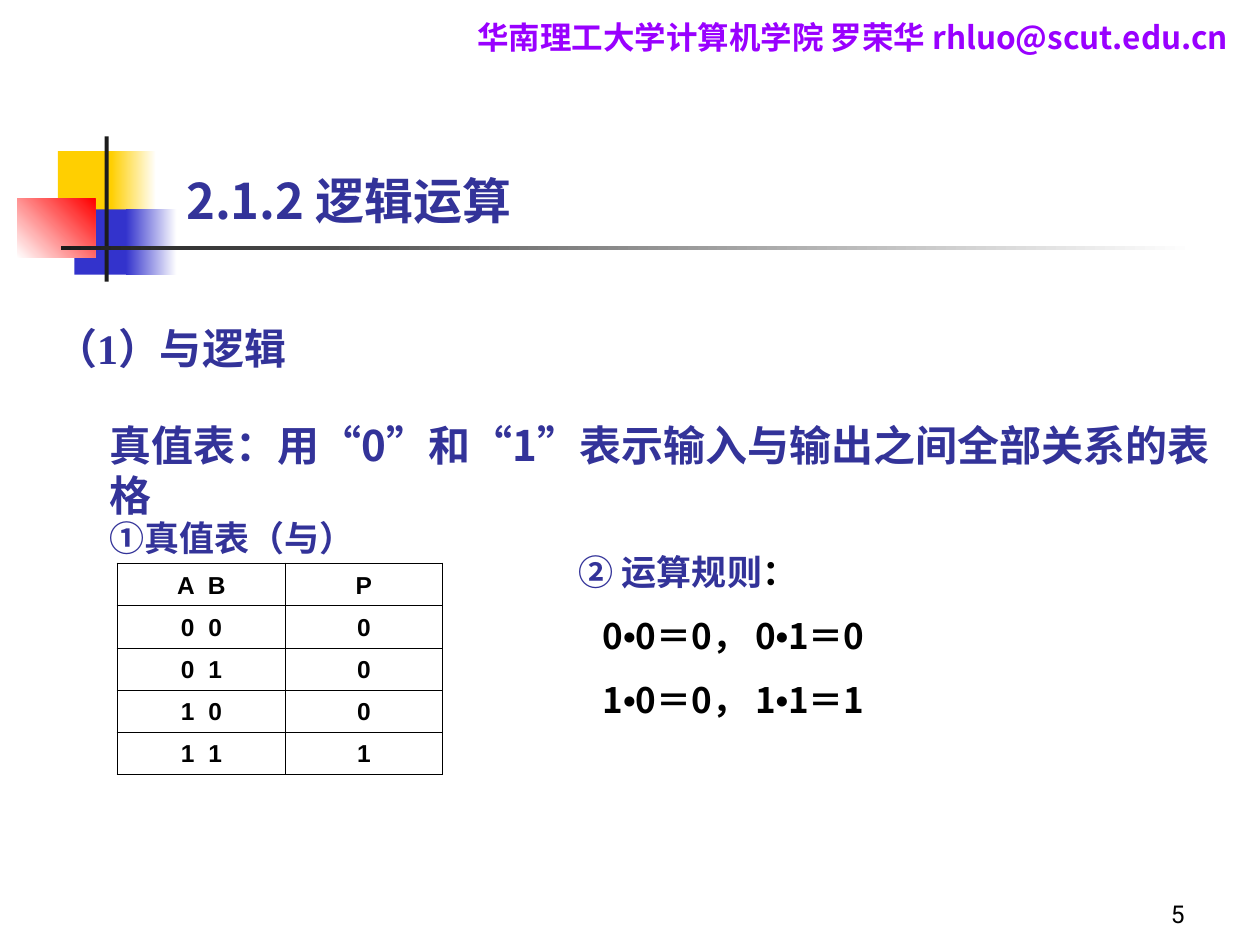
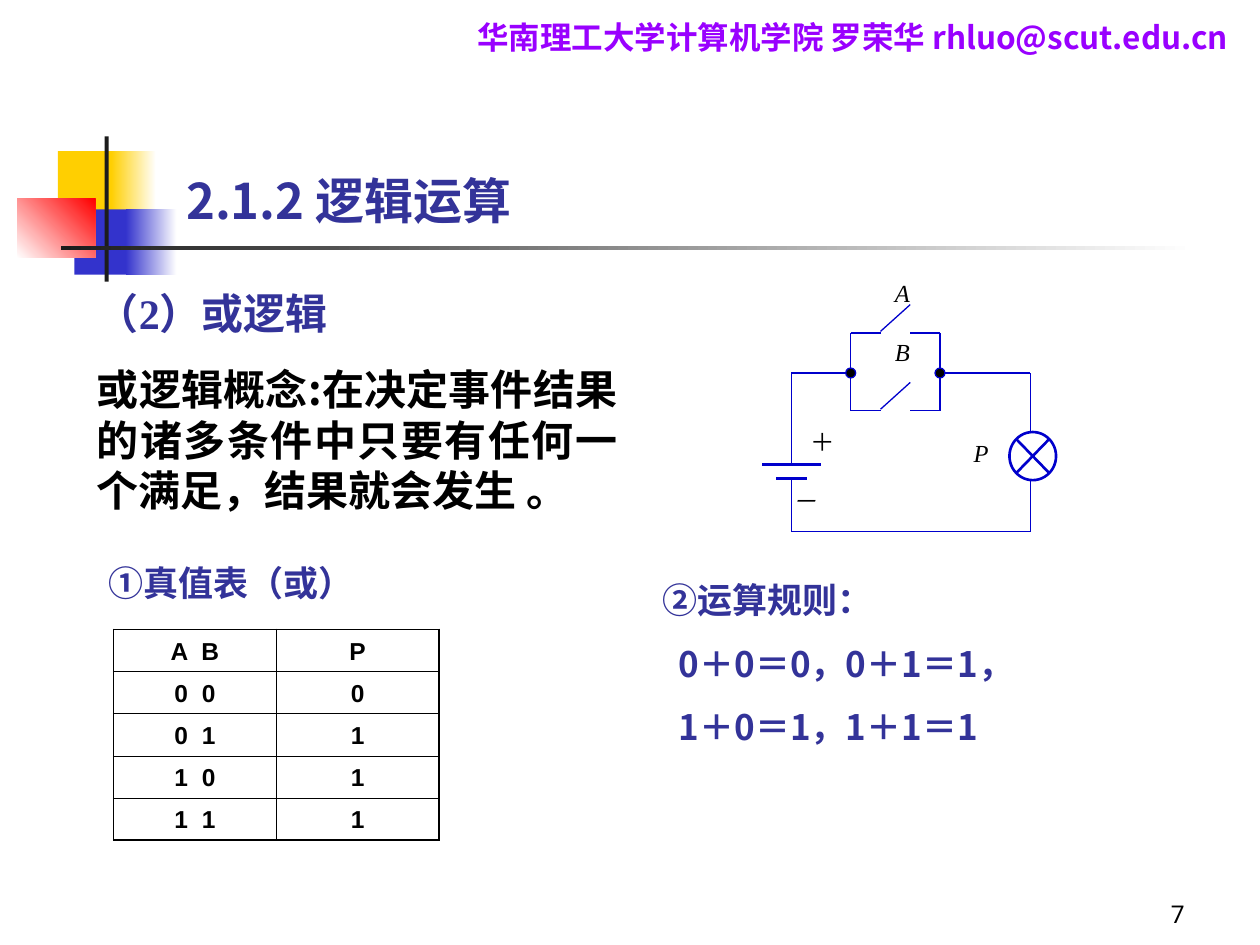
import dataclasses

import lxml.etree
import pptx
import pptx.dml.color
import pptx.enum.shapes
import pptx.enum.text
import pptx.oxml.ns
import pptx.util

Cm = pptx.util.Cm
Pt = pptx.util.Pt
ALIGN = pptx.enum.text.PP_ALIGN
ANCHOR = pptx.enum.text.MSO_ANCHOR
SHAPE = pptx.enum.shapes.MSO_SHAPE


@dataclasses.dataclass(frozen=True)
class Theme:
    ink: str = "000000"
    paper: str = "FFFFFF"
    heading: str = "333399"
    header: str = "9900FF"
    yellow: str = "FFCF01"
    blue: str = "3333CC"
    red: str = "FF0000"
    rule: str = "1C1C1C"
    wire: str = "0000CC"
    chinese: str = "Noto Sans CJK SC"
    serif: str = "Times New Roman"
    sans: str = "Arial"
    number: str = "Roboto"
    title_size: int = 28
    body_size: int = 24
    item_size: int = 20
    header_size: int = 18
    small_size: int = 14
    leading: float = 1.2
    thin: float = 0.75
    thick: float = 1.5
    grid: float = 0.45
    frame: float = 1.08


@dataclasses.dataclass(frozen=True)
class Span:
    text: str
    font: str = ""
    colour: str = ""


THEME = Theme()


def rgb(colour):
    return pptx.dml.color.RGBColor.from_string(colour)


def add_tag(parent, tag, **attributes):
    return lxml.etree.SubElement(parent, pptx.oxml.ns.qn(tag), attributes)


def write_lines(frame, lines, size, colour=THEME.heading, font=THEME.chinese, bold=True,
                italic=False, align=ALIGN.LEFT, gap=0, indent=0, spread=0):
    frame.word_wrap = True
    for index, line in enumerate(lines):
        para = frame.add_paragraph() if index else frame.paragraphs[0]
        properties = para._p.get_or_add_pPr()
        properties.set("marL", "0")
        properties.set("indent", str(Cm(indent if index else 0)))
        add_tag(properties, "a:buNone")
        para.alignment = align
        para.line_spacing = Pt(size * THEME.leading)
        para.space_before = Pt(gap if index else 0)
        para.font.size = Pt(size)
        para.font.bold = bold
        para.font.italic = italic
        para.font.color.rgb = rgb(colour)
        para.font.name = font
        defaults = properties.find(pptx.oxml.ns.qn("a:defRPr"))
        add_tag(defaults, "a:ea", typeface=THEME.chinese)
        if spread:
            defaults.set("spc", str(spread))
        for span in [Span(line)] if isinstance(line, str) else line:
            run = para.add_run()
            run.text = span.text
            if span.font:
                run.font.name = span.font
            if span.colour:
                run.font.color.rgb = rgb(span.colour)


def add_text(page, place, lines, size, anchor=ANCHOR.TOP, **style):
    box = page.shapes.add_textbox(*map(Cm, place))
    box.text_frame.vertical_anchor = anchor
    write_lines(box.text_frame, lines, size, **style)
    return box


def fill_placeholder(holder, place, lines, size, **style):
    holder.left, holder.top, holder.width, holder.height = map(Cm, place)
    holder.text_frame.auto_size = pptx.enum.text.MSO_AUTO_SIZE.NONE
    holder.text_frame.vertical_anchor = ANCHOR.TOP
    write_lines(holder.text_frame, lines, size, **style)


def add_figure(page, kind, place, fill, line=None, weight=THEME.thin):
    figure = page.shapes.add_shape(kind, *map(Cm, place))
    figure.shadow.inherit = False
    figure.fill.solid()
    figure.fill.fore_color.rgb = rgb(fill)
    if line:
        figure.line.color.rgb = rgb(line)
        figure.line.width = Pt(weight)
    else:
        figure.line.fill.background()
    return figure


def add_fade(page, place, start, end, angle=0):
    figure = add_figure(page, SHAPE.RECTANGLE, place, start)
    figure.fill.gradient()
    figure.fill.gradient_angle = angle
    for stop, colour, position in zip(figure.fill.gradient_stops, (start, end), (0, 1)):
        stop.color.rgb = rgb(colour)
        stop.position = position
    return figure


def decorate_layout(layout, page):
    block = SHAPE.RECTANGLE
    parts = [
        add_figure(page, block, (1.17, 3.05, 1.22, 1.32), THEME.yellow),
        add_fade(page, (2.24, 3.05, 0.91, 1.32), THEME.yellow, THEME.paper),
        add_figure(page, block, (1.5, 4.22, 1.17, 1.32), THEME.blue),
        add_fade(page, (2.54, 4.22, 1.02, 1.32), THEME.blue, THEME.paper),
        add_fade(page, (0.35, 4.01, 1.57, 1.19), THEME.paper, THEME.red, 45),
        add_figure(page, block, (2.11, 2.75, 0.08, 2.93), THEME.rule),
        add_fade(page, (1.23, 4.95, 22.86, 0.09), THEME.rule, THEME.paper),
        add_text(page, (9.04, 0.23, 16.3, 1.02),
                 ["华南理工大学计算机学院 罗荣华 rhluo@scut.edu.cn"],
                 THEME.header_size, colour=THEME.header, align=ALIGN.CENTER),
    ]
    for index, part in enumerate(parts):
        part.element.nvSpPr.cNvPr.set("id", str(100 + index))
        layout.shapes.element.insert(2 + index, part.element)


def add_page(deck, layout, number):
    page = deck.slides.add_slide(layout)
    fill_placeholder(page.shapes.title, (3.5, 3.32, 18.62, 1.45), ["2.1.2 逻辑运算"],
                     THEME.title_size)
    add_text(page, (18.85, 17.58, 5.28, 1.27), [number], THEME.small_size, ANCHOR.BOTTOM,
             colour=THEME.ink, font=THEME.number, bold=False, align=ALIGN.RIGHT)
    return page


def set_borders(cell, edges):
    properties = cell._tc.get_or_add_tcPr()
    for side, is_outer in edges.items():
        weight = THEME.frame if is_outer else THEME.grid
        line = add_tag(properties, "a:ln" + side, w=str(Pt(weight)))
        add_tag(add_tag(line, "a:solidFill"), "a:srgbClr", val=THEME.ink)


def add_truth_table(page, left, top, widths, outputs):
    inputs = ["0 0", "0 1", "1 0", "1 1"]
    rows = [("A B", "P"), *zip(inputs, outputs)]
    row_height = 0.85
    table = page.shapes.add_table(len(rows), len(widths), Cm(left), Cm(top),
                                  Cm(sum(widths)), Cm(row_height * len(rows))).table
    table.first_row = table.horz_banding = False
    for column, width in zip(table.columns, widths):
        column.width = Cm(width)
    for r, row in enumerate(rows):
        for c, text in enumerate(row):
            cell = table.cell(r, c)
            set_borders(cell, {"L": c == 0, "R": c == len(row) - 1,
                               "T": r == 0, "B": r == len(rows) - 1})
            cell.fill.background()
            cell.margin_top = cell.margin_bottom = 0
            cell.vertical_anchor = ANCHOR.MIDDLE
            write_lines(cell.text_frame, [text], THEME.small_size, colour=THEME.ink,
                        font=THEME.sans, align=ALIGN.CENTER, spread=0 if c else 200)


def add_wire(page, start, end, weight=THEME.thin):
    wire = page.shapes.add_connector(pptx.enum.shapes.MSO_CONNECTOR.STRAIGHT,
                                     *map(Cm, (*start, *end)))
    wire.line.color.rgb = rgb(THEME.wire)
    wire.line.width = Pt(weight)
    add_tag(wire.element.spPr, "a:effectLst")


def add_label(page, text, x, y, italic=True):
    side = 1
    box = add_text(page, (x - side / 2, y - side / 2, side, side), [text],
                   THEME.small_size, ANCHOR.MIDDLE, colour=THEME.ink, font=THEME.serif,
                   bold=False, italic=italic, align=ALIGN.CENTER)
    frame = box.text_frame
    frame.margin_left = frame.margin_right = frame.margin_top = frame.margin_bottom = 0


def add_or_circuit(page):
    battery, left_node, right_node, east = 15.95, 17.15, 18.95, 20.77
    gap_start, gap_end = 17.75, 18.35
    main, bottom = 7.52, 10.72
    plus_plate, minus_plate = 9.37, 9.65
    switch_a, switch_b = 6.71, 8.28

    add_figure(page, SHAPE.FLOWCHART_SUMMING_JUNCTION, (20.35, 8.71, 0.94, 0.97),
               THEME.paper, THEME.wire, THEME.thick)
    add_wire(page, (15.65, minus_plate), (16.26, minus_plate), THEME.thick)
    add_wire(page, (15.37, plus_plate), (16.56, plus_plate), THEME.thick)
    for rail in (switch_a, switch_b):
        add_wire(page, (left_node, rail), (gap_start, rail))
        add_wire(page, (gap_start, rail - 0.03), (gap_end, rail - 0.57))
        add_wire(page, (gap_end, rail), (right_node, rail))
    for node in (left_node, right_node):
        add_wire(page, (node, switch_a), (node, switch_b))
    loop = [
        ((battery, plus_plate), (battery, main)),
        ((battery, main), (left_node, main)),
        ((right_node, main), (east, main)),
        ((east, main), (east, 8.71)),
        ((east, 9.68), (east, bottom)),
        ((east, bottom), (battery, bottom)),
        ((battery, bottom), (battery, minus_plate)),
    ]
    for start, end in loop:
        add_wire(page, start, end)
    dot = 0.2
    for node in (left_node, right_node):
        add_figure(page, SHAPE.OVAL, (node - dot / 2, main - dot / 2, dot, dot),
                   THEME.ink, THEME.wire)
    add_label(page, "A", 18.19, 5.9)
    add_label(page, "B", 18.19, 7.09)
    add_label(page, "P", 19.78, 9.13)
    add_label(page, "＋", 16.58, 8.91, italic=False)
    add_label(page, "－", 16.21, 10.09)


def product_rule(first):
    dot = Span("•", THEME.sans, THEME.ink)
    return [Span(first, colour=THEME.ink), dot,
            Span(f"0＝0， {first}", colour=THEME.ink), dot,
            Span(f"1＝{first}", colour=THEME.ink)]


def build_and_page(page):
    fill_placeholder(page.placeholders[1], (1.96, 8.33, 22.99, 2.29),
                     ["真值表：用“0”和“1”表示输入与输出之间全部关系的表格"], THEME.body_size)
    add_text(page, (0.86, 6.38, 8, 1.27),
             [[Span("（"), Span("1", THEME.serif), Span("）与逻辑")]], THEME.body_size)
    add_truth_table(page, 2.37, 11.36, (3.38, 3.17), "0001")
    add_text(page, (1.96, 10.29, 6.2, 1.12), ["①真值表（与）"], THEME.item_size)
    add_text(page, (11.42, 10.97, 9.19, 3.68),
             [[Span("② 运算规则"), Span("：", colour=THEME.ink)],
              product_rule("0"), product_rule("1")],
             THEME.item_size, gap=12.5, indent=0.48)


def build_or_page(page):
    concept = "或逻辑概念:在决定事件结果的诸多条件中只要有任何一个满足，结果就会发生 。"
    fill_placeholder(page.placeholders[1], (1.7, 5.66, 11, 4.85),
                     [[Span("（"), Span("2", THEME.serif), Span("）或逻辑")],
                      [Span(concept, colour=THEME.ink)]],
                     THEME.body_size, align=ALIGN.JUSTIFY, gap=15)
    add_or_circuit(page)
    add_truth_table(page, 2.29, 12.69, (3.28, 3.28), "0111")
    add_text(page, (1.9, 11.2, 5.51, 1.12), ["①真值表（或）"], THEME.item_size,
             align=ALIGN.CENTER)
    add_text(page, (13.11, 11.53, 7.82, 5.38),
             ["②运算规则：", "0＋0＝0，0＋1＝1，", "1＋0＝1，1＋1＝1"],
             THEME.item_size, gap=12.5, indent=0.32)


def main():
    deck = pptx.Presentation()
    deck.slide_width, deck.slide_height = Cm(25.4), Cm(19.05)
    layout = deck.slide_layouts.get_by_name("Title and Content")
    and_page = add_page(deck, layout, "5")
    decorate_layout(layout, and_page)
    build_and_page(and_page)
    build_or_page(add_page(deck, layout, "7"))
    deck.save("out.pptx")


if __name__ == "__main__":
    main()
